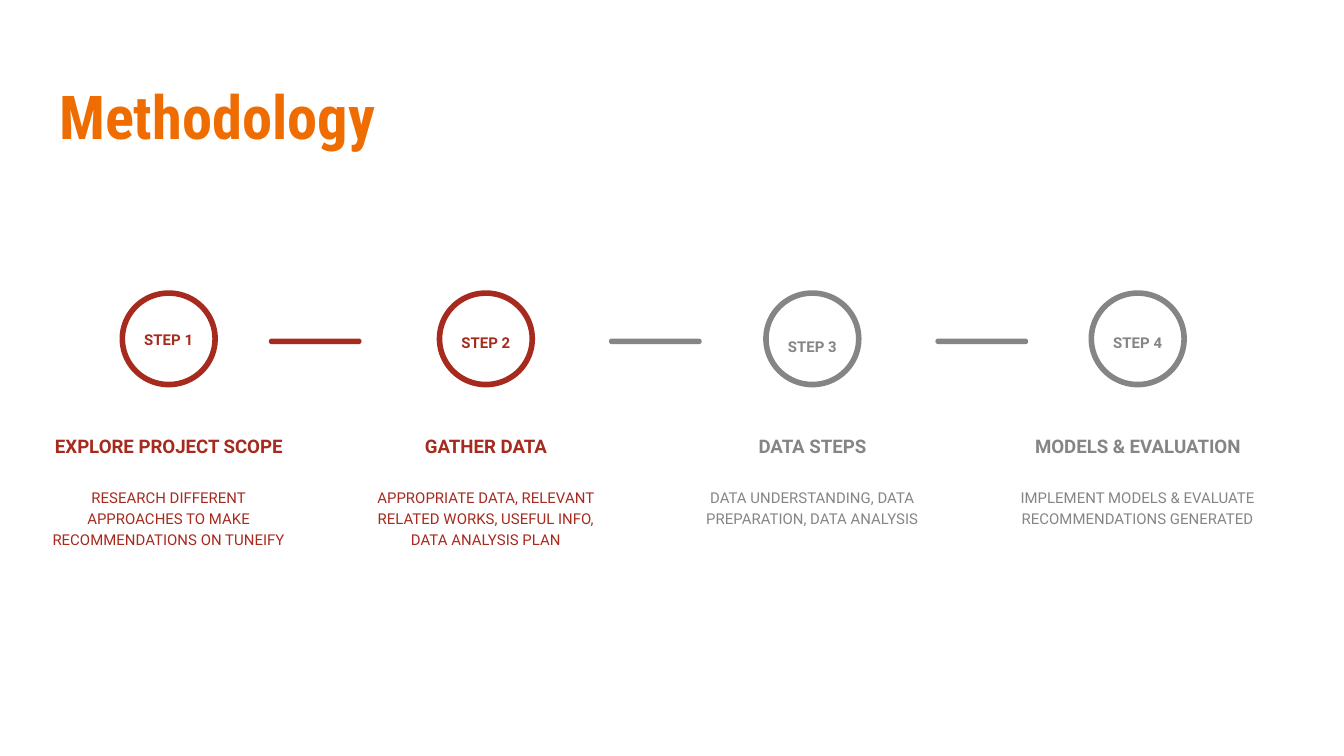
from pptx import Presentation
from pptx.dml.color import RGBColor
from pptx.enum.shapes import MSO_SHAPE
from pptx.enum.text import MSO_ANCHOR, MSO_AUTO_SIZE, PP_ALIGN
from pptx.util import Pt

OVAL, BAR = MSO_SHAPE.OVAL, MSO_SHAPE.ROUNDED_RECTANGLE
TOP, BOTTOM = MSO_ANCHOR.TOP, MSO_ANCHOR.BOTTOM
LEFT, CENTER = PP_ALIGN.LEFT, PP_ALIGN.CENTER

COLORS = {"title": "EF6C00", "active": "A72A1E", "pending": "858585"}
TITLE = "Methodology"
STEPS = [
    {"center": 90.4, "label_top": 168.5, "color": "active",
     "heading": "EXPLORE PROJECT SCOPE",
     "body": "RESEARCH DIFFERENT APPROACHES TO MAKE RECOMMENDATIONS ON TUNEIFY"},
    {"center": 260.3, "label_top": 170, "color": "active",
     "heading": "GATHER DATA",
     "body": "APPROPRIATE DATA, RELEVANT RELATED WORKS, USEFUL INFO, DATA ANALYSIS PLAN"},
    {"center": 435.2, "label_top": 172, "color": "pending",
     "heading": "DATA STEPS",
     "body": "DATA UNDERSTANDING, DATA PREPARATION, DATA ANALYSIS"},
    {"center": 609.5, "label_top": 170, "color": "pending",
     "heading": "MODELS & EVALUATION",
     "body": "IMPLEMENT MODELS & EVALUATE RECOMMENDATIONS GENERATED"},
]
BARS = [(144, "active"), (326.2, "pending"), (501.1, "pending")]
CIRCLE_W, CIRCLE_H, CIRCLE_TOP = 49.7, 49, 157
BAR_TOP, BAR_H = 181.4, 3


def rgb(name):
    return RGBColor.from_string(COLORS[name])


def write(sp, text, size, color, bold=True, font="Roboto",
          align=CENTER, anchor=TOP, spacing=1.15, after=0):
    tf = sp.text_frame
    tf.word_wrap = True
    tf.auto_size = MSO_AUTO_SIZE.NONE
    tf.vertical_anchor = anchor
    tf.margin_left = tf.margin_right = tf.margin_top = tf.margin_bottom = Pt(7.2)
    p = tf.paragraphs[0]
    p.text = text
    p.alignment = align
    p.line_spacing = spacing
    p.space_before, p.space_after = Pt(0), Pt(after)
    p.font.name, p.font.size, p.font.bold = font, Pt(size), bold
    p.font.color.rgb = rgb(color)


def add_text(s, center, top, width, height, text, size, color, **style):
    sp = s.shapes.add_textbox(Pt(center - width / 2), Pt(top), Pt(width), Pt(height))
    write(sp, text, size, color, **style)


def add_step(s, number, step):
    center, color = step["center"], step["color"]
    sp = s.shapes.add_shape(OVAL, Pt(center - CIRCLE_W / 2), Pt(CIRCLE_TOP),
                            Pt(CIRCLE_W), Pt(CIRCLE_H))
    sp.shadow.inherit = False
    sp.fill.background()
    sp.line.color.rgb = rgb(color)
    sp.line.width = Pt(3)
    add_text(s, center, step["label_top"], CIRCLE_W, 26.6,
             f"STEP {number}", 8, color, after=16)
    add_text(s, center, 215.3, 143.3, 36.7, step["heading"], 10, color, anchor=BOTTOM)
    add_text(s, center, 253.4, 147, 61.2, step["body"], 8, color, bold=False, after=16)


def add_bar(s, left, color):
    sp = s.shapes.add_shape(BAR, Pt(left), Pt(BAR_TOP), Pt(CIRCLE_W), Pt(BAR_H))
    sp.adjustments[0] = 0.5
    sp.shadow.inherit = False
    sp.fill.solid()
    sp.fill.fore_color.rgb = rgb(color)
    sp.line.fill.background()


def main():
    prs = Presentation()
    prs.slide_width, prs.slide_height = Pt(720), Pt(405)
    s = prs.slides.add_slide(prs.slide_layouts[5])
    title = s.shapes.title
    title.left, title.top, title.width, title.height = Pt(24.5), Pt(35.3), Pt(671), Pt(55.4)
    write(title, TITLE, 32.4, "title", font="Roboto Condensed", align=LEFT, spacing=1.0)
    for number, step in enumerate(STEPS, 1):
        add_step(s, number, step)
    for left, color in BARS:
        add_bar(s, left, color)
    prs.save("out.pptx")


if __name__ == "__main__":
    main()
